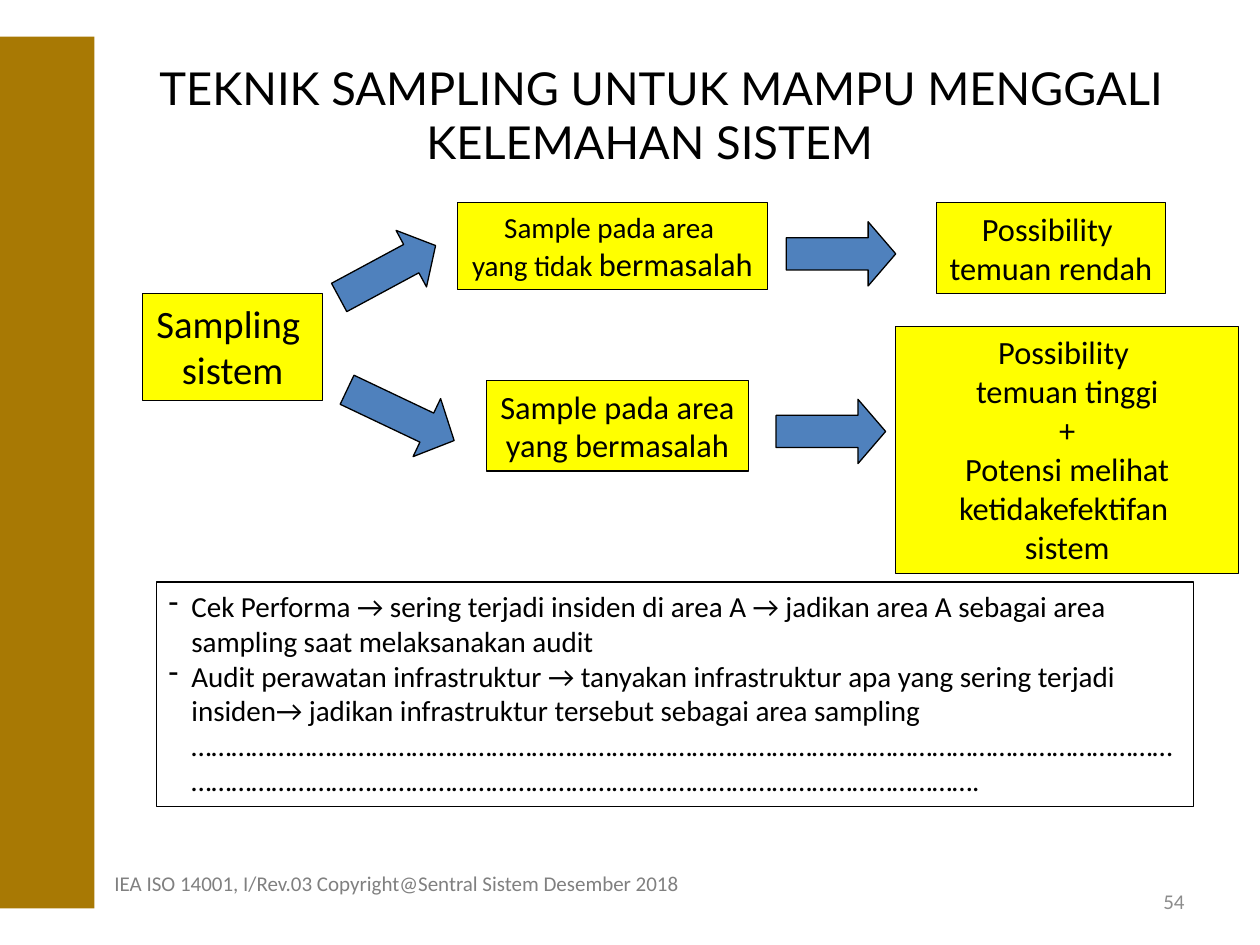
"""Build the slide on audit sampling technique."""
from dataclasses import dataclass

from lxml.etree import SubElement
from pptx import Presentation
from pptx.dml.color import RGBColor
from pptx.enum.shapes import MSO_SHAPE
from pptx.enum.text import MSO_ANCHOR, MSO_AUTO_SIZE, PP_ALIGN
from pptx.oxml.ns import qn
from pptx.util import Pt


@dataclass(frozen=True)
class Theme:
    black: str = "000000"
    yellow: str = "FFFF00"
    blue: str = "4F81BD"
    gold: str = "A87904"
    footer: str = "808080"
    number: str = "8C8C8C"
    heading_font: str = "Lato"
    body_font: str = "Calibri"
    title: float = 25.9
    large: float = 22.1
    medium: float = 18.5
    body: float = 16.6
    small: float = 12
    line: float = 0.75
    indent: float = 13


def add_run(p, text, *, size, color, font):
    r = p.add_run()
    r.text = text
    r.font.size = Pt(size)
    r.font.name = font
    r.font.color.rgb = RGBColor.from_string(color)


class SlideBuilder:
    def __init__(self, slide, theme):
        self.slide = slide
        self.theme = theme

    def shape(self, kind, box, fill=None, line=True):
        sp = self.slide.shapes.add_shape(kind, *map(Pt, box))
        sp.shadow.inherit = False
        if fill:
            sp.fill.solid()
            sp.fill.fore_color.rgb = RGBColor.from_string(fill)
        else:
            sp.fill.background()
        if line:
            sp.line.color.rgb = RGBColor.from_string(self.theme.black)
            sp.line.width = Pt(self.theme.line)
        else:
            sp.line.fill.background()
        return sp

    def paragraphs(self, tf, lines, size, color=None, font=None,
                   align=PP_ALIGN.CENTER, bullet=None):
        for i, line in enumerate(lines):
            p = tf.paragraphs[0] if i == 0 else tf.add_paragraph()
            p.alignment = align
            if bullet:
                self.bullet(p, bullet)
            runs = [(line, size)] if isinstance(line, str) else line
            for text, run_size in runs:
                add_run(p, text, size=run_size, color=color or self.theme.black,
                        font=font or self.theme.body_font)

    def bullet(self, p, char):
        pPr = p._p.get_or_add_pPr()
        indent = Pt(self.theme.indent)
        pPr.set("marL", str(indent))
        pPr.set("indent", str(-indent))
        SubElement(pPr, qn("a:buChar")).set("char", char)

    def box(self, box, lines, size, fill=None, wrap=False, **fmt):
        tf = self.shape(MSO_SHAPE.RECTANGLE, box, fill).text_frame
        tf.word_wrap = wrap
        tf.auto_size = MSO_AUTO_SIZE.SHAPE_TO_FIT_TEXT
        tf.vertical_anchor = MSO_ANCHOR.TOP
        self.paragraphs(tf, lines, size, **fmt)

    def arrow(self, left, top, width=62.6, head=0.43, rotation=0):
        sp = self.shape(MSO_SHAPE.RIGHT_ARROW, (left, top, width, 36.7), self.theme.blue)
        sp.adjustments[1] = head
        sp.rotation = rotation

    def text(self, box, text, size, anchor=MSO_ANCHOR.MIDDLE, **fmt):
        tf = self.slide.shapes.add_textbox(*map(Pt, box)).text_frame
        tf.word_wrap = True
        tf.vertical_anchor = anchor
        self.paragraphs(tf, [text], size, **fmt)


def main():
    prs = Presentation()
    prs.slide_width, prs.slide_height = Pt(720), Pt(540)
    t = Theme()
    s = SlideBuilder(prs.slides.add_slide(prs.slide_layouts[6]), t)

    s.text((54, 23.8, 648, 82.8),
           "TEKNIK SAMPLING UNTUK MAMPU MENGGALI KELEMAHAN SISTEM  ",
           t.title, font=t.heading_font)

    s.box((81.4, 167.8, 103, 61.2), ["Sampling ", "sistem"], t.large, t.yellow)
    s.box((261.4, 115.9, 177.1, 49.7),
          ["Sample pada area ", [("yang tidak ", t.body), ("bermasalah", t.medium)]],
          t.body, t.yellow)
    s.box((277.9, 217.4, 149.8, 51.8), ["Sample pada area", "yang bermasalah"],
          t.medium, t.yellow)
    s.box((535, 115.9, 131, 51.8), ["Possibility ", "temuan rendah"], t.medium, t.yellow)
    s.box((511.9, 186.5, 195.8, 141.1),
          ["Possibility ", "temuan tinggi", "+", "Potensi melihat",
           "ketidakefektifan ", "sistem"],
          t.medium, t.yellow, wrap=True)

    s.arrow(443.5, 228.2)
    s.arrow(449.3, 126.7)
    s.arrow(190.1, 136.8, rotation=331.7)
    s.arrow(195.1, 218.9, width=67.7, head=0.47, rotation=25.4)

    s.box((89.3, 332.6, 592.6, 128.2),
          ["Cek Performa → sering terjadi insiden di area A → jadikan area A "
           "sebagai area sampling saat melaksanakan audit",
           "Audit perawatan infrastruktur → tanyakan infrastruktur apa yang sering "
           "terjadi insiden→ jadikan infrastruktur tersebut sebagai area sampling "
           + "…" * 88 + "."],
          t.body, wrap=True, align=PP_ALIGN.LEFT, bullet="-")

    s.shape(MSO_SHAPE.RECTANGLE, (0, 20.9, 54, 498.2), t.gold, line=False)
    s.text((516.2, 500.4, 167.8, 28.8), "54", t.small,
           color=t.number, align=PP_ALIGN.RIGHT)
    s.text((58.3, 493.9, 378, 28.8),
           "IEA ISO 14001, I/Rev.03 Copyright@Sentral Sistem Desember 2018",
           t.small, MSO_ANCHOR.TOP, color=t.footer, align=PP_ALIGN.LEFT)

    prs.save("out.pptx")


if __name__ == "__main__":
    main()
